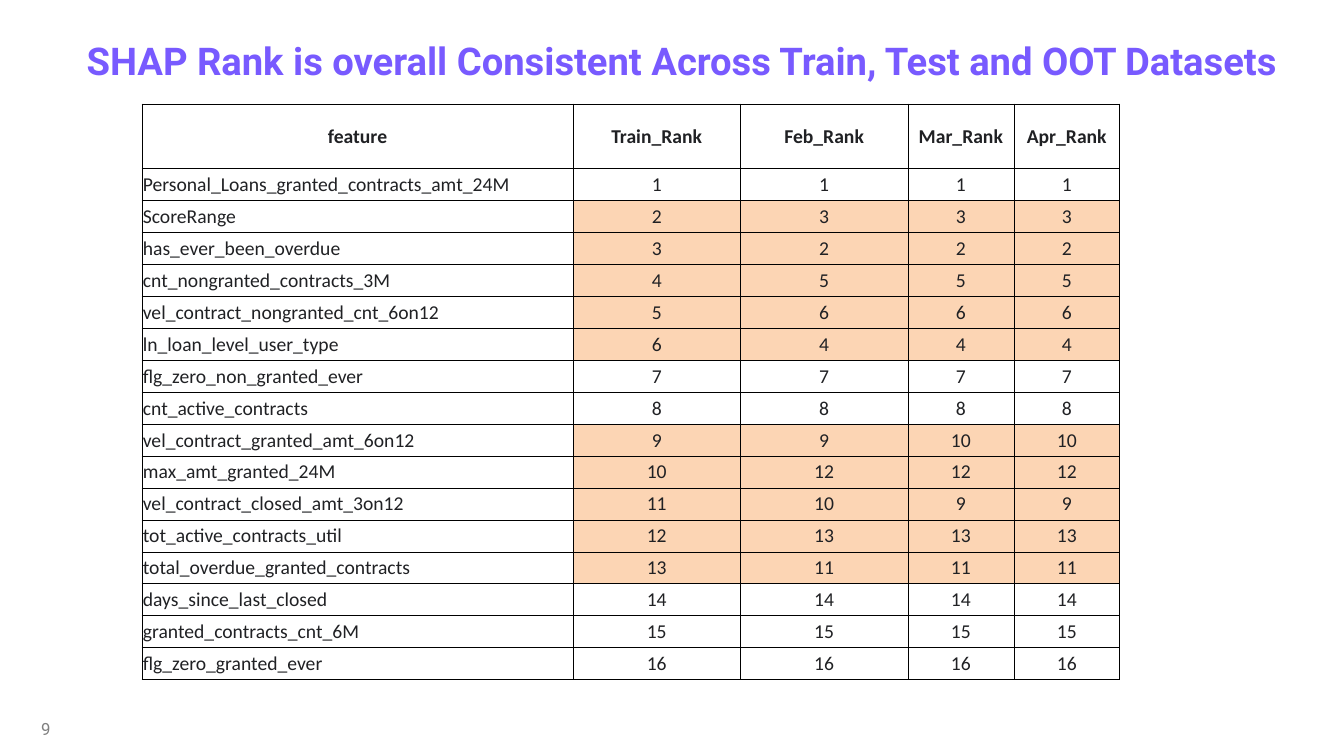
from lxml import etree
from pptx import Presentation
from pptx.dml.color import RGBColor
from pptx.enum import text
from pptx.oxml import ns
from pptx.util import Cm, Pt

COLOURS = {
    "title": "785AFF",
    "page": "808080",
    "ink": "202124",
    "border": "000000",
    "changed": "FCD5B4",
}

HEADINGS = ("feature", "Train_Rank", "Feb_Rank", "Mar_Rank", "Apr_Rank")
COLUMN_WIDTHS = (10.86, 4.22, 4.22, 2.67, 2.67)
TABLE_HEIGHT = Cm(14.52)
RANKS = [
    ("Personal_Loans_granted_contracts_amt_24M", 1, 1, 1, 1),
    ("ScoreRange", 2, 3, 3, 3),
    ("has_ever_been_overdue", 3, 2, 2, 2),
    ("cnt_nongranted_contracts_3M", 4, 5, 5, 5),
    ("vel_contract_nongranted_cnt_6on12", 5, 6, 6, 6),
    ("ln_loan_level_user_type", 6, 4, 4, 4),
    ("flg_zero_non_granted_ever", 7, 7, 7, 7),
    ("cnt_active_contracts", 8, 8, 8, 8),
    ("vel_contract_granted_amt_6on12", 9, 9, 10, 10),
    ("max_amt_granted_24M", 10, 12, 12, 12),
    ("vel_contract_closed_amt_3on12", 11, 10, 9, 9),
    ("tot_active_contracts_util", 12, 13, 13, 13),
    ("total_overdue_granted_contracts", 13, 11, 11, 11),
    ("days_since_last_closed", 14, 14, 14, 14),
    ("granted_contracts_cnt_6M", 15, 15, 15, 15),
    ("flg_zero_granted_ever", 16, 16, 16, 16),
]


def set_font(paragraph, name, size, colour, bold=False):
    font = paragraph.font
    font.name, font.size, font.bold = name, Pt(size), bold
    font.color.rgb = RGBColor.from_string(COLOURS[colour])


def format_title(title, wording):
    title.left, title.top, title.width, title.height = (
        Cm(1.93), Cm(0.43), Cm(31.93), Cm(1.8))
    frame = title.text_frame
    frame.text = wording
    frame.word_wrap = True
    frame.auto_size = text.MSO_AUTO_SIZE.NONE
    frame.vertical_anchor = text.MSO_ANCHOR.BOTTOM
    heading = frame.paragraphs[0]
    heading.alignment = text.PP_ALIGN.LEFT
    heading.line_spacing = 1.5
    set_font(heading, "Roboto", 27.3, "title", bold=True)


def add_page_number(slide, number):
    frame = slide.shapes.add_textbox(
        Cm(0.79), Cm(17.86), Cm(7.62), Cm(1.02)).text_frame
    frame.word_wrap = True
    frame.vertical_anchor = text.MSO_ANCHOR.MIDDLE
    frame.text = str(number)
    frame.paragraphs[0].space_after = Pt(6)
    set_font(frame.paragraphs[0], "Roboto", 12, "page")


def add_borders(cell):
    """Draw a thin line on all four sides; call before filling the cell."""
    properties = cell._tc.get_or_add_tcPr()
    for side in ("lnL", "lnR", "lnT", "lnB"):
        line = etree.SubElement(properties, ns.qn(f"a:{side}"), w=str(Pt(0.5)))
        fill = etree.SubElement(line, ns.qn("a:solidFill"))
        etree.SubElement(fill, ns.qn("a:srgbClr"), val=COLOURS["border"])


def format_cell(cell, value, centred, bold, changed):
    cell.margin_left = cell.margin_right = cell.margin_top = Cm(0.02)
    cell.margin_bottom = 0
    cell.vertical_anchor = text.MSO_ANCHOR.MIDDLE
    add_borders(cell)
    if changed:
        cell.fill.solid()
        cell.fill.fore_color.rgb = RGBColor.from_string(COLOURS["changed"])
    else:
        cell.fill.background()
    cell.text = str(value)
    paragraph = cell.text_frame.paragraphs[0]
    paragraph.alignment = (
        text.PP_ALIGN.CENTER if centred else text.PP_ALIGN.LEFT)
    set_font(paragraph, "Calibri", 14, "ink", bold)


def add_rank_table(slide):
    """Add the ranks, shading those that differ between datasets."""
    rows = [HEADINGS, *RANKS]
    table = slide.shapes.add_table(
        len(rows), len(HEADINGS), Cm(3.58), Cm(2.62),
        Cm(sum(COLUMN_WIDTHS)), TABLE_HEIGHT).table
    table.first_row = table.horz_banding = False
    for column, width in zip(table.columns, COLUMN_WIDTHS):
        column.width = Cm(width)
    row_height = TABLE_HEIGHT // (len(rows) + 1)
    for r, values in enumerate(rows):
        is_header = r == 0
        table.rows[r].height = row_height * (2 if is_header else 1)
        rank_differs = not is_header and len(set(values[1:])) > 1
        for c, value in enumerate(values):
            format_cell(table.cell(r, c), value, centred=is_header or c > 0,
                        bold=is_header, changed=rank_differs and c > 0)


def main():
    deck = Presentation()
    deck.slide_width, deck.slide_height = Cm(33.87), Cm(19.05)
    slide = deck.slides.add_slide(deck.slide_layouts[5])
    format_title(
        slide.shapes.title,
        "SHAP Rank is overall Consistent Across Train, Test and OOT Datasets")
    add_page_number(slide, 9)
    add_rank_table(slide)
    deck.save("out.pptx")


if __name__ == "__main__":
    main()
